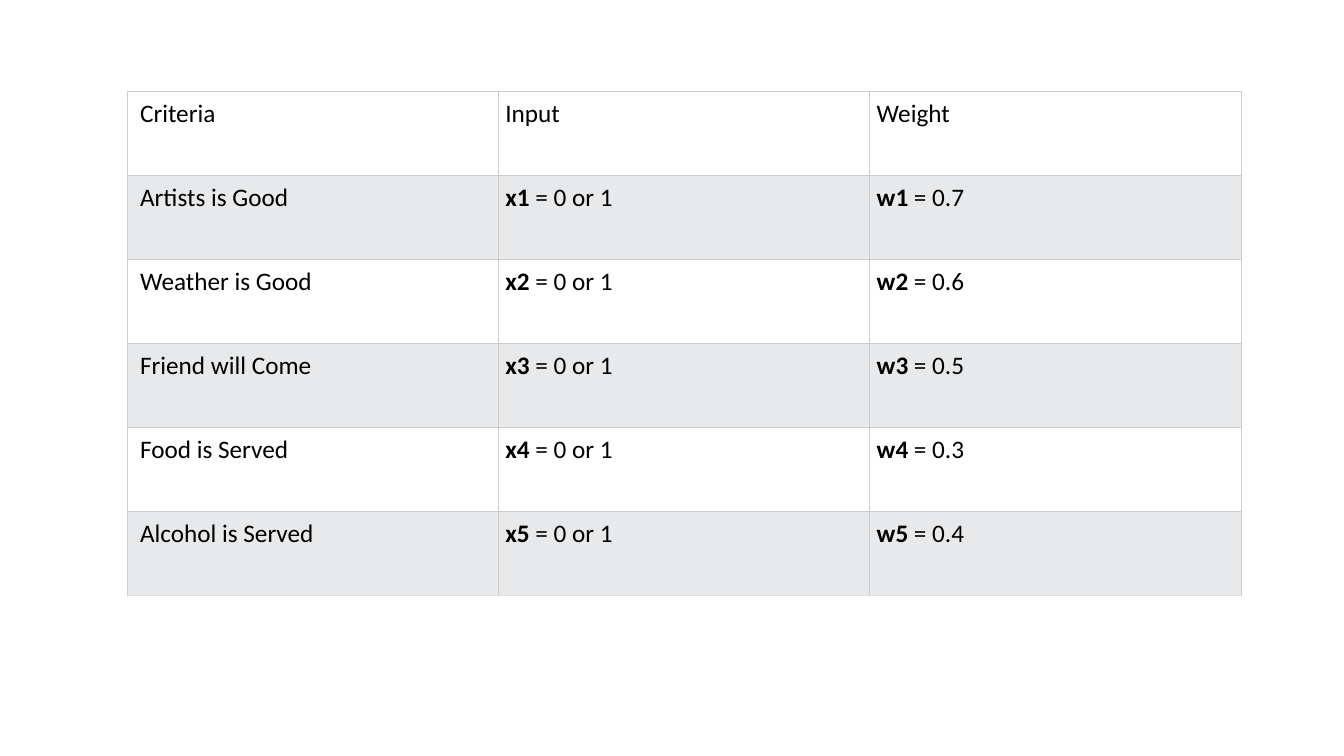
import dataclasses

import lxml.etree
import pptx
import pptx.dml.color
import pptx.oxml.ns
import pptx.table
import pptx.util

Inches = pptx.util.Inches
HEADINGS = ("Criteria", "Input", "Weight")
ROW_FILLS = ("FFFFFF", "E7E9EB")
GRID_COLOUR = "CCCCCC"
BOTTOM_COLOUR = "DDDDDD"


@dataclasses.dataclass(frozen=True)
class Criterion:
    name: str
    weight: float


@dataclasses.dataclass(frozen=True)
class CellText:
    regular: str
    bold: str = ""


CRITERIA = (
    Criterion("Artists is Good", 0.7),
    Criterion("Weather is Good", 0.6),
    Criterion("Friend will Come", 0.5),
    Criterion("Food is Served", 0.3),
    Criterion("Alcohol is Served", 0.4),
)


def rgb(colour: str) -> pptx.dml.color.RGBColor:
    return pptx.dml.color.RGBColor.from_string(colour)


def criterion_row(number: int, criterion: Criterion) -> tuple[CellText, ...]:
    return (
        CellText(criterion.name),
        CellText(" = 0 or 1", bold=f"x{number}"),
        CellText(f" = {criterion.weight}", bold=f"w{number}"),
    )


def set_borders(cell: pptx.table._Cell, bottom_colour: str) -> None:
    qn = pptx.oxml.ns.qn
    properties = cell._tc.get_or_add_tcPr()
    colours = {"L": GRID_COLOUR, "R": GRID_COLOUR, "T": GRID_COLOUR, "B": bottom_colour}
    for position, (side, colour) in enumerate(colours.items()):
        line = lxml.etree.Element(qn(f"a:ln{side}"), w=str(pptx.util.Pt(0.6)))
        fill = lxml.etree.SubElement(line, qn("a:solidFill"))
        lxml.etree.SubElement(fill, qn("a:srgbClr"), val=colour)
        properties.insert(position, line)


def write_cell(cell: pptx.table._Cell, content: CellText) -> None:
    paragraph = cell.text_frame.paragraphs[0]
    for text, is_bold in ((content.bold, True), (content.regular, False)):
        if text:
            run = paragraph.add_run()
            run.text = text
            run.font.name = "Calibri"
            run.font.size = pptx.util.Pt(18)
            run.font.bold = is_bold
            run.font.color.rgb = rgb("000000")


def format_cell(cell: pptx.table._Cell, fill: str, left_margin: float) -> None:
    cell.fill.solid()
    cell.fill.fore_color.rgb = rgb(fill)
    cell.margin_left = Inches(left_margin)
    cell.margin_right = cell.margin_top = cell.margin_bottom = Inches(0.07)


def main() -> None:
    presentation = pptx.Presentation()
    presentation.slide_width = Inches(13.33)
    presentation.slide_height = Inches(7.5)
    slide = presentation.slides.add_slide(presentation.slide_layouts[6])

    rows = [tuple(CellText(heading) for heading in HEADINGS)]
    rows += [criterion_row(number, item) for number, item in enumerate(CRITERIA, 1)]

    criteria_table = slide.shapes.add_table(
        len(rows), len(HEADINGS), Inches(1.26), Inches(0.91), Inches(11.05), Inches(5)
    ).table
    criteria_table.first_row = False
    criteria_table.horz_banding = False

    for row_index, row in enumerate(rows):
        is_last = row_index == len(rows) - 1
        for column_index, content in enumerate(row):
            cell = criteria_table.cell(row_index, column_index)
            write_cell(cell, content)
            format_cell(cell, ROW_FILLS[row_index % 2], 0.07 if column_index else 0.13)
            set_borders(cell, BOTTOM_COLOUR if is_last else GRID_COLOUR)

    presentation.save("out.pptx")


if __name__ == "__main__":
    main()
